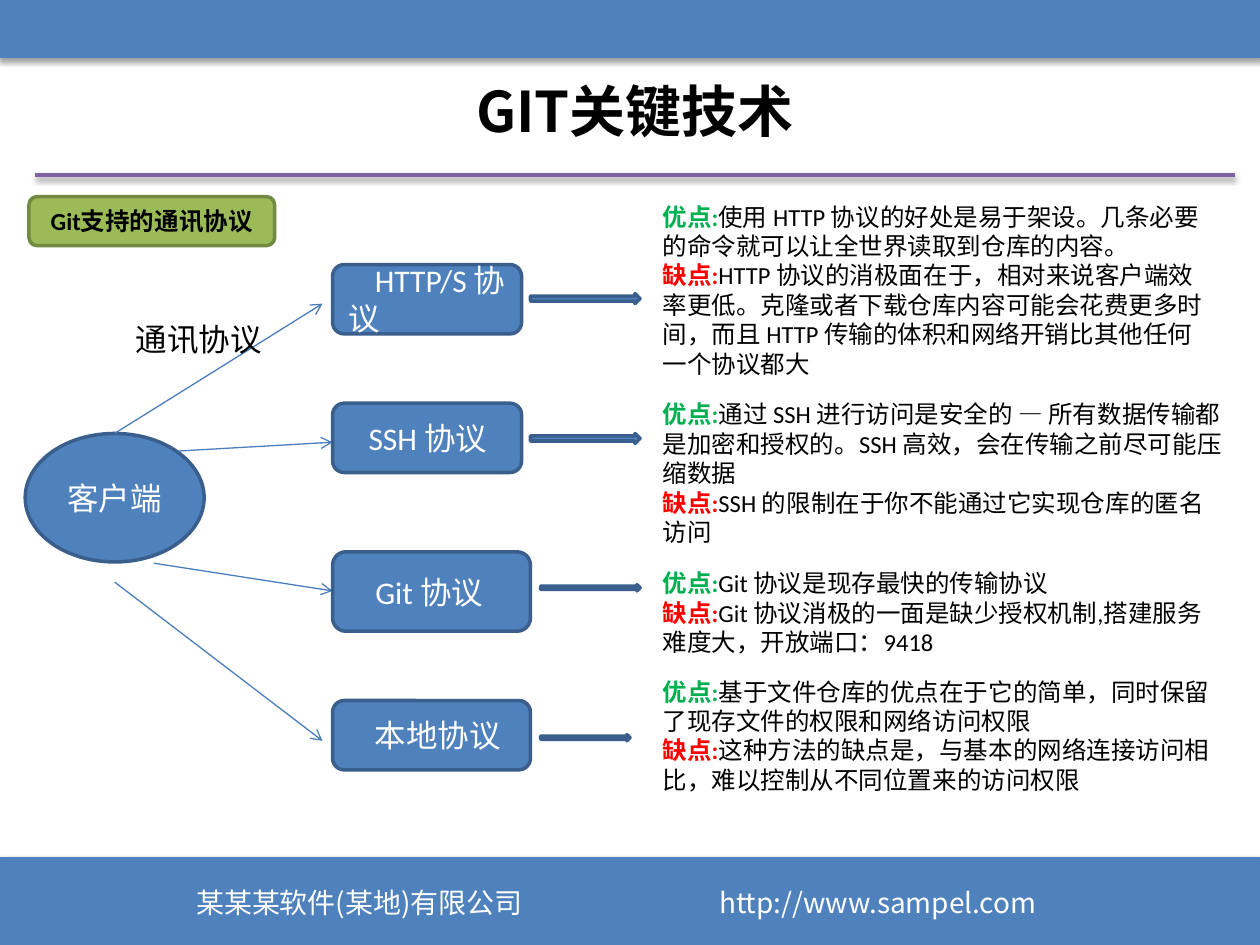
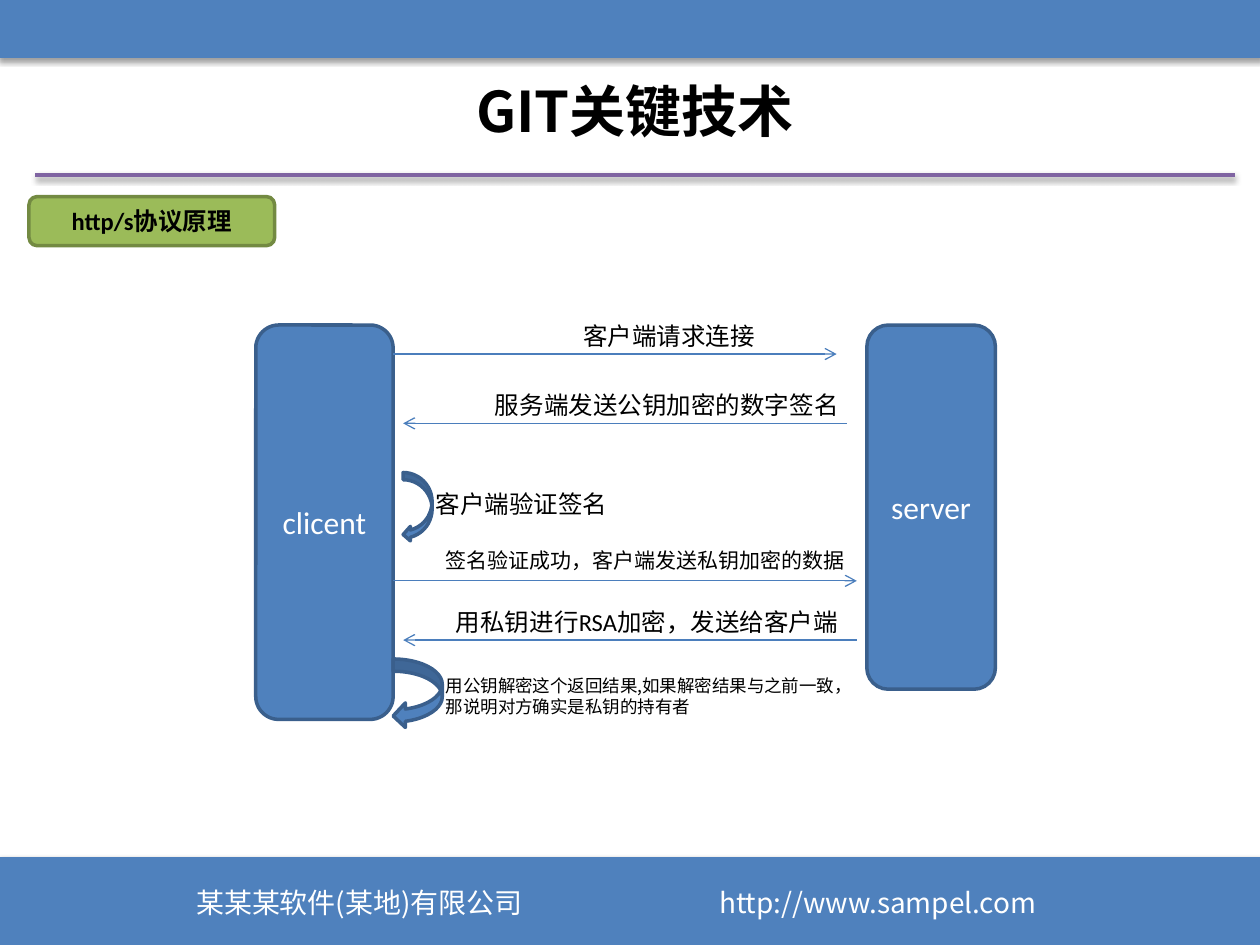
from lxml.etree import SubElement as Sub
from pptx import Presentation as Pres
from pptx.dml.color import RGBColor as Rgb
from pptx.enum.shapes import MSO_CONNECTOR as Conn, MSO_SHAPE as Kind
from pptx.enum.text import MSO_ANCHOR as Anchor, PP_ALIGN as Align
from pptx.oxml.ns import qn
from pptx.util import Inches, Pt

HUES = {
    "blue": "4F81BD", "edge": "3A5F8C", "wire": "4B7EBC",
    "lime": "9BBB59", "moss": "738A42", "plum": "8064A2",
    "pro": "00B050", "con": "FF0000", "ink": "000000", "white": "FFFFFF",
}
BODY, HEAD, NOTE = "Calibri", "Noto Sans CJK SC", "Noto Sans CJK TC"
COLS, ROWS = 100, 75


def hue(name):
    return Rgb.from_string(HUES[name])


def write(para, text, size=14, color="ink", bold=False, font=BODY, align=None, indent=0):
    run = para.add_run()
    run.text = text
    face = run.font
    face.name, face.size, face.bold = font, Pt(size), bold
    face.color.rgb = hue(color)
    east = HEAD if font == BODY else font
    Sub(face._element, qn("a:ea"), typeface=east)
    if align:
        para.alignment = align
    if indent:
        para._p.get_or_add_pPr().set("indent", str(Inches(indent)))


def shade(item, deep=False):
    list_ = Sub(item._element.spPr, qn("a:effectLst"))
    if deep:
        cast = Sub(list_, qn("a:outerShdw"), blurRad=str(Pt(3.1)), dist=str(Pt(1.6)),
                   dir="5400000", rotWithShape="0")
        tint = Sub(cast, qn("a:srgbClr"), val=HUES["ink"])
        Sub(tint, qn("a:alpha"), val="38000")


class Deck:
    def __init__(self):
        self.pres = Pres()
        self.pres.slide_width, self.pres.slide_height = Inches(10), Inches(7.5)
        self.col = self.pres.slide_width / COLS
        self.row = self.pres.slide_height / ROWS
        self.slide = None

    def grid(self, x, y, w, h):
        return [round(n) for n in (x * self.col, y * self.row, w * self.col, h * self.row)]

    def shape(self, kind, spot, text="", fill="blue", edge="edge", width=2, deep=False, **form):
        item = self.slide.shapes.add_shape(kind, *self.grid(*spot))
        item.fill.solid()
        item.fill.fore_color.rgb = hue(fill)
        item.line.color.rgb = hue(edge)
        item.line.width = Pt(width)
        shade(item, deep)
        if text:
            frame = item.text_frame
            frame.word_wrap = True
            frame.vertical_anchor = Anchor.MIDDLE
            look = {"size": 18, "color": "white", "align": Align.CENTER} | form
            write(frame.paragraphs[0], text, **look)

    def line(self, start, end, color="wire", width=0.75, head=True, deep=False):
        ends = self.grid(*start, *end)
        item = self.slide.shapes.add_connector(Conn.STRAIGHT, *ends)
        item.line.color.rgb = hue(color)
        item.line.width = Pt(width)
        if head:
            Sub(item.line._get_or_add_ln(), qn("a:tailEnd"), type="arrow")
        shade(item, deep)

    def frame(self, spot, wrap=True):
        frame = self.slide.shapes.add_textbox(*self.grid(*spot)).text_frame
        frame.word_wrap = wrap
        return frame

    def text(self, spot, *lines, wrap=True, above=0, **form):
        frame = self.frame(spot, wrap)
        for i, line in enumerate(lines):
            para = frame.add_paragraph() if i else frame.paragraphs[0]
            if above:
                para.space_before = Pt(above)
            write(para, line, **form)

    def weigh(self, spot, pro, con):
        frame = self.frame(spot)
        write(frame.paragraphs[0], "优点:", color="pro", bold=True)
        write(frame.paragraphs[0], pro)
        last = frame.add_paragraph()
        write(last, "缺点:", color="con", bold=True)
        write(last, con)

    def band(self, y, h):
        self.shape(Kind.RECTANGLE, (0, y, COLS, h), edge="blue", width=3, deep=True)

    def page(self, topic):
        self.slide = self.pres.slides.add_slide(self.pres.slide_layouts[6])
        self.band(0, 4.4)
        self.line((2.8, 13.9), (98, 13.9), "plum", 2, head=False, deep=True)
        self.text((5.4, 5.6, 90, 7), "GIT关键技术", size=32, bold=True, font=HEAD,
                  align=Align.CENTER, above=6.4)
        self.band(68.2, 6.7)
        foot = {"size": 16, "color": "white", "font": HEAD}
        self.text((14.6, 69.8, 40, 3.7), "某某某软件(某地)有限公司", **foot)
        self.text((56.1, 69.8, 42, 3.7), "http://www.sampel.com", **foot)
        self.shape(Kind.ROUNDED_RECTANGLE, (2.3, 15.6, 19.5, 3.9), topic, "lime", "moss",
                   size=14, color="ink", bold=True)


deck = Deck()

deck.page("Git支持的通讯协议")
deck.shape(Kind.OVAL, (2, 34.4, 14.2, 10.2), "客户端")
LINKS = [
    ((9.1, 34.4), (25.6, 24.1)),
    ((14.1, 35.8), (26.4, 35.1)),
    ((12.2, 44.7), (26.4, 46.9)),
    ((9.1, 46.2), (25.6, 58.8)),
]
for start, end in LINKS:
    deck.line(start, end)

MODES = [
    ("HTTP/S 协议", 0.21, (21, 15, 5.5), (42.1, 23.3, 8.7, 0.8), (15.5, 45.7, 17.5),
     "使用 HTTP 协议的好处是易于架设。几条必要的命令就可以让全世界读取到仓库的内容。",
     "HTTP 协议的消极面在于，相对来说客户端效率更低。克隆或者下载仓库内容可能会花费更多时间，"
     "而且 HTTP 传输的体积和网络开销比其他任何一个协议都大"),
    ("SSH 协议", 0.16, (32, 15, 5.5), (42.1, 34.4, 8.7, 0.8), (31.2, 46.5, 12.8),
     "通过 SSH 进行访问是安全的 — 所有数据传输都是加密和授权的。SSH 高效，会在传输之前尽可能压缩数据",
     "SSH 的限制在于你不能通过它实现仓库的匿名访问"),
    ("Git 协议", 0.21, (43.8, 15.7, 6.3), (42.9, 46.4, 7.9, 0.5), (44.6, 44.9, 10.4),
     "Git 协议是现存最快的传输协议",
     "Git 协议消极的一面是缺少授权机制,搭建服务难度大，开放端口：9418"),
    ("本地协议", 0.21, (55.6, 15.7, 5.5), (42.9, 58.3, 7.1, 0.5), (53.2, 47.2, 12.8),
     "基于文件仓库的优点在于它的简单，同时保留了现存文件的权限和网络访问权限",
     "这种方法的缺点是，与基本的网络连接访问相比，难以控制从不同位置来的访问权限"),
]
for name, indent, box, arrow, (top, wide, high), pro, con in MODES:
    y, w, h = box
    deck.shape(Kind.ROUNDED_RECTANGLE, (26.4, y, w, h), name, align=Align.LEFT, indent=indent)
    deck.shape(Kind.RIGHT_ARROW, arrow)
    deck.weigh((51.6, top, wide, high), pro, con)
deck.text((9.8, 24.9, 18.1, 4), "通讯协议", size=18)

deck.page("http/s协议原理")
deck.shape(Kind.ROUNDED_RECTANGLE, (20.3, 25.8, 10.9, 31.3), "clicent")
deck.shape(Kind.ROUNDED_RECTANGLE, (68.8, 25.8, 10.2, 28.9), "server")
STEPS = [
    (28.1, 31.2, 66.4, (45.3, 25, 15.8, 3.4), "客户端请求连接", 14, False),
    (33.6, 67.2, 32, (38.3, 30.5, 34.2, 3.4), "服务端发送公钥加密的数字签名", 14, True),
    (46.1, 31.2, 68, (34.4, 43, 34, 3), "签名验证成功，客户端发送私钥加密的数据", 12, False),
    (50.8, 68, 32, (35.2, 47.7, 41.3, 3.4), "用私钥进行RSA加密，发送给客户端", 14, True),
]
for y, start, end, spot, step, size, wrap in STEPS:
    deck.line((start, y), (end, y))
    deck.text(spot, step, size=size, wrap=wrap)
deck.text((33.6, 38.3, 15.8, 3.4), "客户端验证签名", wrap=False)
deck.text((34.4, 53.1, 35.4, 4.4), "用公钥解密这个返回结果,如果解密结果与之前一致，",
          "那说明对方确实是私钥的持有者", size=10, font=NOTE)
for spot in ((31.2, 52.3, 3.9, 5.5), (32, 37.5, 2.3, 5.5)):
    deck.shape(Kind.CURVED_LEFT_ARROW, spot)

deck.pres.save("out.pptx")
